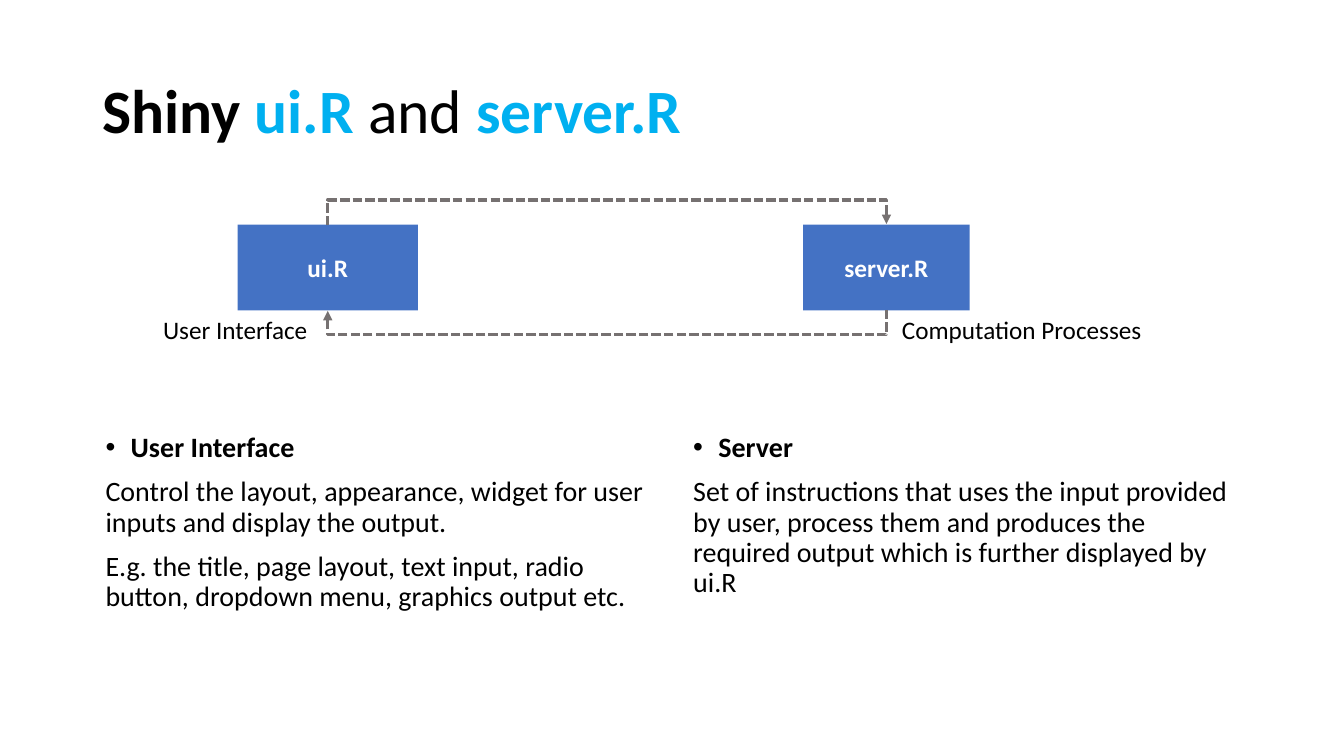
import pptx
import pptx.dml.color
import pptx.enum.dml
import pptx.enum.shapes
import pptx.enum.text
import pptx.oxml
import pptx.oxml.ns
import pptx.util
from lxml import etree

Cm = pptx.util.Cm
Pt = pptx.util.Pt
ANCHOR = pptx.enum.text.MSO_ANCHOR
TOP_SITE, BOTTOM_SITE = 0, 2


def colour(code):
    return pptx.dml.color.RGBColor.from_string(code)


def add_xml(parent, tag, **attributes):
    return etree.SubElement(parent, pptx.oxml.ns.qn(tag), **attributes)


class ShinySlide:
    font = "Calibri"
    black, white, accent = "000000", "FFFFFF", "00B0F0"
    box_fill, arrow_line = "4472C4", "767171"

    def __init__(self, deck):
        self.shapes = deck.slides.add_slide(deck.slide_layouts[6]).shapes

    def run(self, paragraph, text, size, code, bold=False):
        run = paragraph.add_run()
        run.text = text
        run.font.name = self.font
        run.font.size = Pt(size)
        run.font.bold = bold
        run.font.color.rgb = colour(code)

    def frame(self, left, top, width, height, wrap=True, anchor=ANCHOR.TOP):
        frame = self.shapes.add_textbox(Cm(left), Cm(top), Cm(width), Cm(height)).text_frame
        frame.word_wrap = wrap
        frame.vertical_anchor = anchor
        return frame

    def title(self, parts):
        paragraph = self.frame(2.33, 1.02, 29.21, 3.68, anchor=ANCHOR.MIDDLE).paragraphs[0]
        paragraph.line_spacing = 0.9
        for text, code, bold in parts:
            self.run(paragraph, text, 44, code, bold)

    def column(self, left, width, heading, details):
        frame = self.frame(left, 10.8, width, 4.98)
        for index, text in enumerate([heading, *details]):
            is_heading = index == 0
            paragraph = frame.paragraphs[0] if is_heading else frame.add_paragraph()
            paragraph.line_spacing = 0.9
            paragraph.space_before = Pt(10)
            if is_heading:
                properties = paragraph._p.get_or_add_pPr()
                properties.set("marL", str(Cm(0.635)))
                properties.set("indent", str(-Cm(0.635)))
                add_xml(properties, "a:buFont", typeface="Arial")
                add_xml(properties, "a:buChar", char="•")
            self.run(paragraph, text, 20, self.black, is_heading)

    def file_box(self, left, width, text):
        box = self.shapes.add_shape(pptx.enum.shapes.MSO_SHAPE.RECTANGLE,
                                    Cm(left), Cm(5.66), Cm(width), Cm(2.16))
        box.shadow.inherit = False
        box.fill.solid()
        box.fill.fore_color.rgb = colour(self.box_fill)
        box.line.fill.background()
        box.text_frame.vertical_anchor = ANCHOR.MIDDLE
        paragraph = box.text_frame.paragraphs[0]
        paragraph.alignment = pptx.enum.text.PP_ALIGN.CENTER
        self.run(paragraph, text, 18, self.white, True)
        return box

    def label(self, left, width, text):
        frame = self.frame(left, 7.8, width, 1.02, wrap=False)
        frame.auto_size = pptx.enum.text.MSO_AUTO_SIZE.SHAPE_TO_FIT_TEXT
        self.run(frame.paragraphs[0], text, 18, self.black)

    def loop_arrow(self, source, target, site, flip):
        arrow = self.shapes.add_connector(pptx.enum.shapes.MSO_CONNECTOR.ELBOW, 0, 0, 0, 0)
        arrow.begin_connect(source, site)
        arrow.end_connect(target, site)
        start = source.left + source.width // 2
        end = target.left + target.width // 2
        edge = source.top + (source.height if site == BOTTOM_SITE else 0)
        thickness, span = Cm(0.03), abs(end - start)
        arrow.left = (start + end - thickness) // 2
        arrow.top = edge - span // 2
        arrow.width, arrow.height = thickness, span
        properties = arrow._element.spPr
        frame = properties.find(pptx.oxml.ns.qn("a:xfrm"))
        frame.set("rot", "5400000")
        frame.set("flipH", flip)
        frame.set("flipV", flip)
        adjustments = properties.find(".//" + pptx.oxml.ns.qn("a:avLst"))
        bend = round(Cm(0.635) / thickness * 100000)
        add_xml(adjustments, "a:gd", name="adj1", fmla=f"val {bend}")
        arrow.line.color.rgb = colour(self.arrow_line)
        arrow.line.width = Pt(2.25)
        arrow.line.dash_style = pptx.enum.dml.MSO_LINE.SQUARE_DOT
        add_xml(arrow.line._get_or_add_ln(), "a:tailEnd", type="triangle")
        add_xml(properties, "a:effectLst")


def main():
    deck = pptx.Presentation()
    deck.slide_width, deck.slide_height = Cm(33.87), Cm(19.05)
    slide = ShinySlide(deck)
    slide.title([
        ("Shiny ", slide.black, True),
        ("ui.R ", slide.accent, True),
        ("and ", slide.black, False),
        ("server.R", slide.accent, True),
    ])
    slide.column(2.41, 14.33, "User Interface", [
        "Control the layout, appearance, widget for user inputs and display the output.",
        "E.g. the title, page layout, text input, radio button, dropdown menu, "
        "graphics output etc.",
    ])
    slide.column(17.22, 14.4, "Server", [
        "Set of instructions that uses the input provided by user, process them and "
        "produces the required output which is further displayed by ui.R",
    ])
    ui = slide.file_box(5.99, 4.54, "ui.R")
    server = slide.file_box(20.24, 4.2, "server.R")
    slide.loop_arrow(ui, server, TOP_SITE, "1")
    slide.loop_arrow(server, ui, BOTTOM_SITE, "0")
    slide.label(3.86, 4.19, "User Interface")
    slide.label(22.48, 6.6, "Computation Processes")
    deck.save("out.pptx")


if __name__ == "__main__":
    main()
